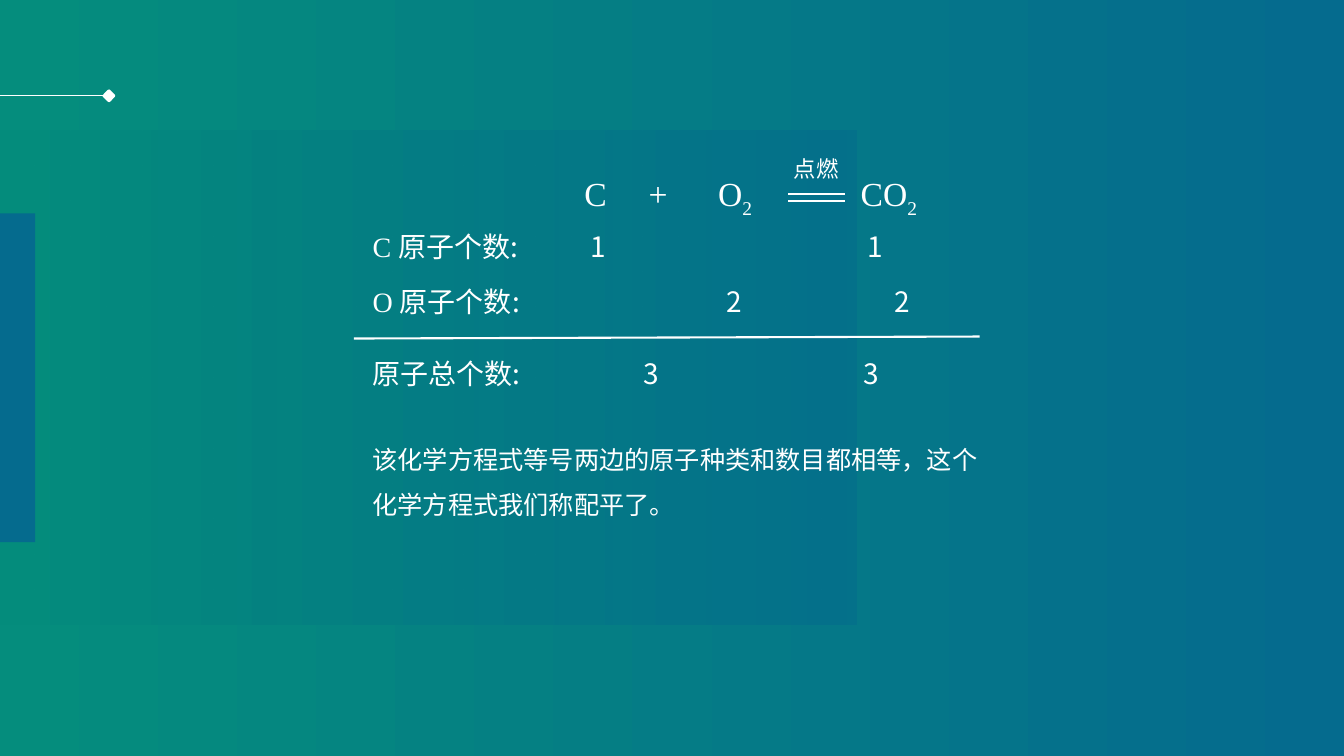
from dataclasses import dataclass

from lxml import etree
from pptx import Presentation
from pptx.dml.color import RGBColor
from pptx.enum.shapes import MSO_CONNECTOR, MSO_SHAPE
from pptx.enum.text import MSO_AUTO_SIZE
from pptx.oxml.ns import qn
from pptx.util import Cm, Pt

LINE = MSO_CONNECTOR.STRAIGHT
RECT = MSO_SHAPE.RECTANGLE
ROUND = MSO_SHAPE.ROUNDED_RECTANGLE
GROW = MSO_AUTO_SIZE.SHAPE_TO_FIT_TEXT


@dataclass(frozen=True)
class Theme:
    blue: RGBColor = RGBColor(0x05, 0x6B, 0x8E)
    green: RGBColor = RGBColor(0x05, 0x8D, 0x7D)
    white: RGBColor = RGBColor(255, 255, 255)
    sans: str = "Noto Sans CJK SC"
    serif: str = "Times New Roman"
    note: int = 16
    body: int = 18
    count: int = 20
    formula: int = 24


THEME = Theme()


def fade(fill):
    fill.gradient()
    fill.gradient_angle = 180
    for stop, color in zip(fill.gradient_stops, (THEME.blue, THEME.green)):
        stop.color.rgb = color


def add_line(shapes, x1, y1, x2, y2, width=1.5):
    line = shapes.add_connector(LINE, Cm(x1), Cm(y1), Cm(x2), Cm(y2))
    line.line.color.rgb = THEME.white
    line.line.width = Pt(width)
    etree.SubElement(line.element.spPr, qn("a:effectLst"))


def add_block(shapes, kind, x, y, w, h, color=None):
    block = shapes.add_shape(kind, Cm(x), Cm(y), Cm(w), Cm(h))
    block.shadow.inherit = False
    block.line.fill.background()
    if color is None:
        fade(block.fill)
    else:
        block.fill.solid()
        block.fill.fore_color.rgb = color
    return block


def set_font(font, name):
    font.name = name
    east = etree.SubElement(font._element, qn("a:ea"))
    east.set("typeface", THEME.sans)


def add_text(shapes, x, y, w, h, runs, size, wrap=False):
    frame = shapes.add_textbox(Cm(x), Cm(y), Cm(w), Cm(h)).text_frame
    frame.word_wrap = wrap
    frame.auto_size = GROW
    para = frame.paragraphs[0]
    para.font.size = Pt(size)
    para.font.color.rgb = THEME.white
    names = {name for _, name in runs}
    if len(names) == 1:
        set_font(para.font, runs[0][1])
    for text, name in runs:
        run = para.add_run()
        run.text = text
        if len(names) > 1:
            set_font(run.font, name)
    return para


def add_decor(slide, x, y):
    shapes = slide.shapes
    add_line(shapes, x, y + 2.41, x + 2.59, y + 2.41, 0.5)
    knob = add_block(shapes, ROUND, x + 2.62, y + 2.29, 0.25, 0.25, THEME.white)
    knob.rotation = 43.8
    panel = add_block(shapes, RECT, x, y + 3.3, 21.59, 12.45)
    first = panel.element.spPr.find(".//" + qn("a:srgbClr"))
    etree.SubElement(first, qn("a:alpha")).set("val", "50000")
    add_block(shapes, RECT, x, y + 5.38, 0.89, 8.28, THEME.blue)


def add_formula(shapes, x, y):
    parts = ["C\t+\tO", "2", "\tCO", "2"]
    runs = [(part, THEME.serif) for part in parts]
    para = add_text(shapes, x, y, 9.07, 1.27, runs, THEME.formula, True)
    for run in para.runs[1::2]:
        run.font._element.set("baseline", "-25000")
    tabs = etree.Element(qn("a:tabLst"))
    for stop in (1.62, 3.37, 6.96):
        tab = etree.SubElement(tabs, qn("a:tab"))
        tab.set("pos", str(Cm(stop)))
        tab.set("algn", "l")
    para.font._element.addprevious(tabs)


def add_counts(slide, x, y):
    shapes = slide.shapes.add_group_shape().shapes
    add_formula(shapes, x + 5.34, y + 0.46)
    add_text(shapes, x + 10.62, y, 1.65, 0.94, [("点燃", THEME.sans)], THEME.note)
    for gap in (1.1, 1.28):
        add_line(shapes, x + 10.72, y + gap, x + 12.15, y + gap)
    rows = [
        (1.88, "C ", "原子个数:", "1", (5.49, 12.48)),
        (3.26, "O ", "原子个数:", "2", (8.92, 13.16)),
        (5.08, "", "原子总个数:", "3", (6.84, 12.37)),
    ]
    for top, atom, label, count, places in rows:
        runs = [(atom, THEME.serif)] if atom else []
        runs.append((label, THEME.sans))
        add_text(shapes, x, y + top, 5.2, 1.12, runs, THEME.count, True)
        for left in places:
            add_text(shapes, x + left, y + top, 0.94, 1.12,
                     [(count, THEME.sans)], THEME.count)
    add_line(shapes, x - 0.22, y + 4.75, x + 15.55, y + 4.7)


def add_summary(slide, x, y, w, h):
    text = "该化学方程式等号两边的原子种类和数目都相等，这个化学方程式我们称配平了。"
    para = add_text(slide.shapes, x, y, w, h, [(text, THEME.sans)], THEME.body, True)
    para.line_spacing = 1.5
    para.space_before = Pt(THEME.body / 2)


def main():
    deck = Presentation()
    deck.slide_width, deck.slide_height = Cm(33.87), Cm(19.05)
    slide = deck.slides.add_slide(deck.slide_layouts[6])
    fade(slide.background.fill)
    add_decor(slide, 0, 0)
    add_counts(slide, 9.14, 3.78)
    add_summary(slide, 9.14, 10.69, 15.77, 2.44)
    deck.save("out.pptx")


if __name__ == "__main__":
    main()
